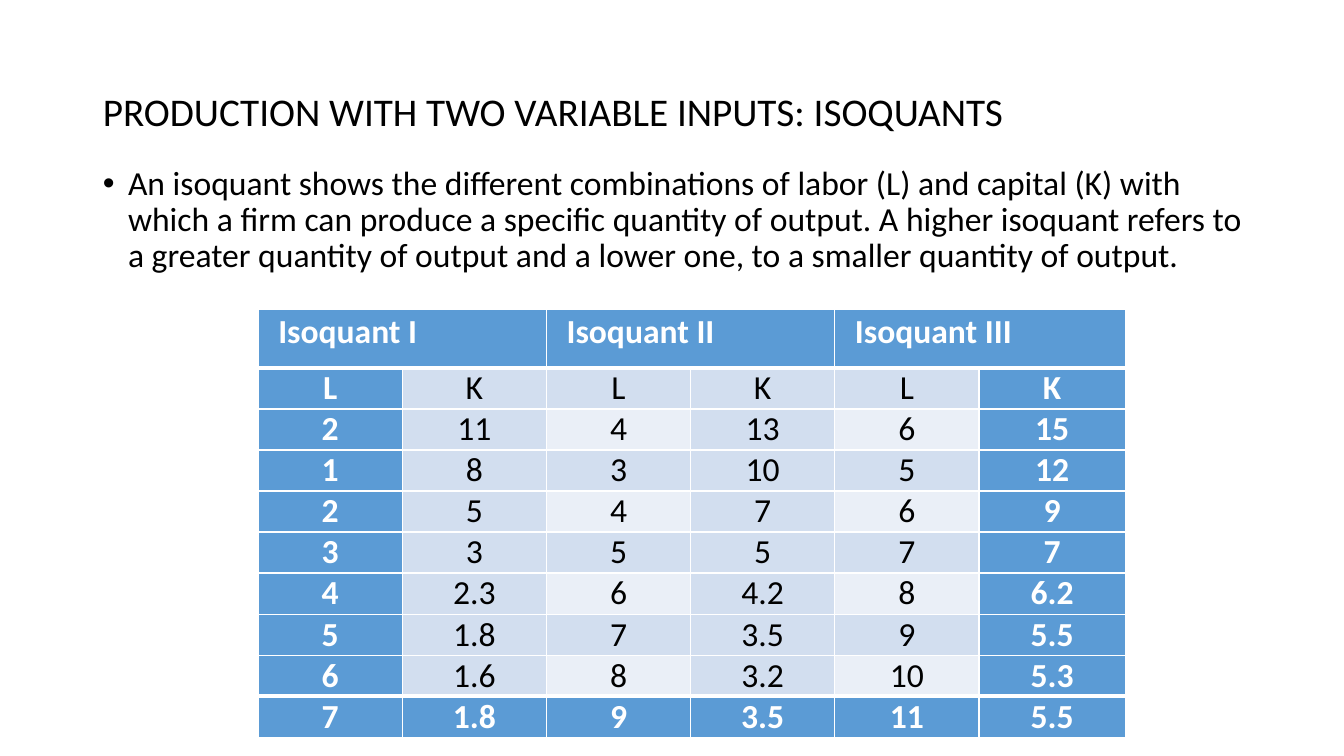
"""Build the slide on isoquants with two variable inputs."""
from lxml import etree
from pptx import Presentation
from pptx import util as u
from pptx.dml.color import RGBColor
from pptx.enum import text
from pptx.oxml import ns

TITLE = "PRODUCTION WITH TWO VARIABLE INPUTS: ISOQUANTS"
BODY = (
    "An isoquant shows the different combinations of labor (L) and capital (K) "
    "with which a firm can produce a specific quantity of output. A higher "
    "isoquant refers to a greater quantity of output and a lower one, to a "
    "smaller quantity of output."
)
ISOQUANTS = ["Isoquant I", "Isoquant II", "Isoquant III"]
ROWS = [
    ["L", "K", "L", "K", "L", "K"],
    ["2", "11", "4", "13", "6", "15"],
    ["1", "8", "3", "10", "5", "12"],
    ["2", "5", "4", "7", "6", "9"],
    ["3", "3", "5", "5", "7", "7"],
    ["4", "2.3", "6", "4.2", "8", "6.2"],
    ["5", "1.8", "7", "3.5", "9", "5.5"],
    ["6", "1.6", "8", "3.2", "10", "5.3"],
    ["7", "1.8", "9", "3.5", "11", "5.5"],
]

FONT = "Calibri"
BLACK = RGBColor(0x00, 0x00, 0x00)
WHITE = RGBColor(0xFF, 0xFF, 0xFF)
BLUE = RGBColor(0x5B, 0x9B, 0xD5)
LIGHT = RGBColor(0xD2, 0xDE, 0xEF)
PALE = RGBColor(0xEA, 0xEF, 0xF7)

PX = 9144
SLIDE = (1333, 750)
TITLE_BOX = (92, 40, 1150, 145)
BODY_BOX = (92, 160, 1150, 516)
TABLE_AT = (256, 307)
COLUMNS = [143] * 5 + [145]
HEADER_HEIGHT, ROW_HEIGHT = 58, 40
HEADER_INDENT, BULLET_INDENT = 20, 25
THIN, THICK = 1, 3


def px(n):
    return u.Emu(n * PX)


def write(tf, words, size=24, color=BLACK, bold=False,
          align=text.PP_ALIGN.LEFT, spacing=1.0):
    p = tf.paragraphs[0]
    p.alignment = align
    p.line_spacing = spacing
    p.space_before = u.Pt(0)
    r = p.add_run()
    r.text = words
    r.font.name, r.font.size, r.font.bold = FONT, u.Pt(size), bold
    r.font.color.rgb = color
    return p


def place(sp, box, anchor):
    sp.left, sp.top, sp.width, sp.height = map(px, box)
    tf = sp.text_frame
    tf.word_wrap = True
    tf.auto_size = text.MSO_AUTO_SIZE.NONE
    tf.vertical_anchor = anchor
    return tf


def set_borders(cell, top, bottom):
    tc_pr = cell._tc.get_or_add_tcPr()
    for side, width in (("L", THIN), ("R", THIN), ("T", top), ("B", bottom)):
        ln = etree.SubElement(tc_pr, ns.qn(f"a:ln{side}"), w=str(u.Pt(width)))
        fill = etree.SubElement(ln, ns.qn("a:solidFill"))
        etree.SubElement(fill, ns.qn("a:srgbClr"), val=str(WHITE))


def cell_fill(row, col):
    if row in (0, len(ROWS)) or col in (0, len(COLUMNS) - 1):
        return BLUE
    return PALE if row % 2 == 0 and col % 2 == 0 else LIGHT


def add_isoquant_table(s):
    heights = [HEADER_HEIGHT] + [ROW_HEIGHT] * len(ROWS)
    size = (sum(COLUMNS), sum(heights))
    tbl = s.shapes.add_table(len(heights), len(COLUMNS),
                             *map(px, TABLE_AT + size)).table
    tbl.first_row = tbl.horz_banding = False
    for column, width in zip(tbl.columns, COLUMNS):
        column.width = px(width)
    for row, height in zip(tbl.rows, heights):
        row.height = px(height)

    last = len(ROWS)
    for i in range(last + 1):
        for j in range(len(COLUMNS)):
            cell = tbl.cell(i, j)
            cell.margin_left = cell.margin_right = 0
            cell.margin_top = cell.margin_bottom = 0
            set_borders(cell, THICK if i in (1, last) else THIN,
                        THICK if i in (0, last - 1) else THIN)
            fill = cell_fill(i, j)
            cell.fill.solid()
            cell.fill.fore_color.rgb = fill
            if i:
                strong = fill == BLUE
                write(cell.text_frame, ROWS[i - 1][j], bold=strong,
                      color=WHITE if strong else BLACK,
                      align=text.PP_ALIGN.CENTER)

    for k, name in enumerate(ISOQUANTS):
        cell = tbl.cell(0, 2 * k)
        cell.merge(tbl.cell(0, 2 * k + 1))
        cell.margin_left = px(HEADER_INDENT)
        write(cell.text_frame, name, color=WHITE, bold=True, spacing=1.05)


def main():
    prs = Presentation()
    prs.slide_width, prs.slide_height = map(px, SLIDE)
    s = prs.slides.add_slide(prs.slide_layouts[1])
    title, body = s.placeholders

    tf = place(title, TITLE_BOX, text.MSO_ANCHOR.MIDDLE)
    write(tf, TITLE, size=28, spacing=0.9)

    tf = place(body, BODY_BOX, text.MSO_ANCHOR.TOP)
    p_pr = write(tf, BODY, spacing=0.9)._p.get_or_add_pPr()
    p_pr.set("marL", str(px(BULLET_INDENT)))
    p_pr.set("indent", str(px(-BULLET_INDENT)))
    etree.SubElement(p_pr, ns.qn("a:buFont"), typeface="Arial")
    etree.SubElement(p_pr, ns.qn("a:buChar"), char="•")

    add_isoquant_table(s)
    prs.save("out.pptx")


if __name__ == "__main__":
    main()
